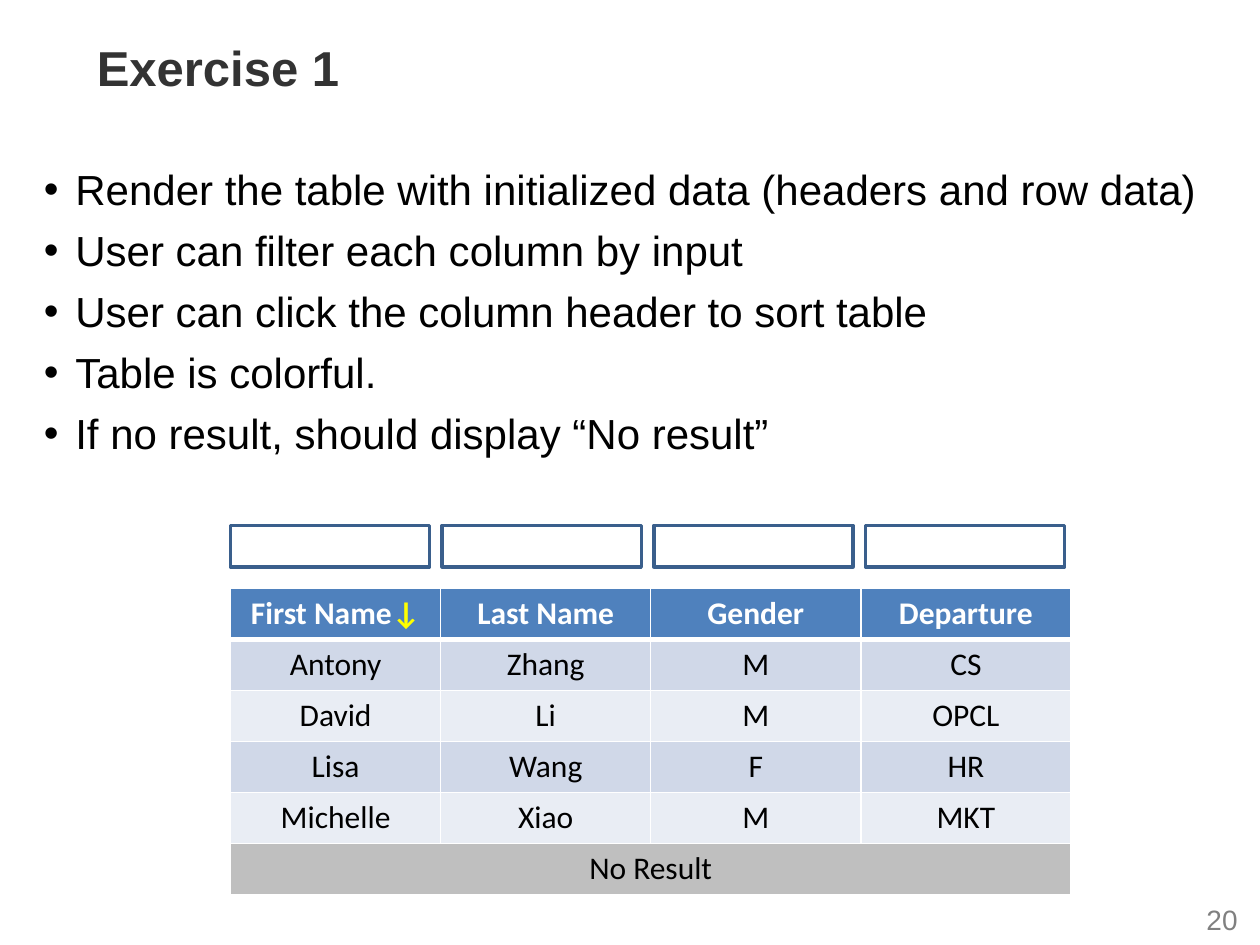
from dataclasses import dataclass

from lxml import etree
from pptx import Presentation
from pptx.dml.color import RGBColor
from pptx.enum.shapes import MSO_SHAPE
from pptx.enum.text import MSO_ANCHOR, PP_ALIGN
from pptx.oxml.ns import qn
from pptx.util import Inches, Pt

RECT = MSO_SHAPE.RECTANGLE
LEFT, MID, RIGHT = PP_ALIGN.LEFT, PP_ALIGN.CENTER, PP_ALIGN.RIGHT
TOP, CENTER = MSO_ANCHOR.TOP, MSO_ANCHOR.MIDDLE


@dataclass(frozen=True)
class Theme:
    font: str = "Arial"
    grid_font: str = "Calibri"
    title: str = "333333"
    ink: str = "000000"
    page: str = "808080"
    white: str = "FFFFFF"
    head: str = "4F81BD"
    arrow: str = "FFFF00"
    bands: tuple = ("D0D8E8", "E9EDF4")
    empty: str = "BFBFBF"
    box: str = "3A5F8C"
    title_pt: int = 28
    body_pt: int = 24
    grid_pt: int = 18
    page_pt: int = 16


THEME = Theme()

POINTS = [
    "Render the table with initialized data (headers and row data)",
    "User can filter each column by input",
    "User can click the column header to sort table",
    "Table is colorful.",
    "If no result, should display “No result”",
]
HEADS = ["First Name", "Last Name", "Gender", "Departure"]
PEOPLE = [
    ["Antony", "Zhang", "M", "CS"],
    ["David", "Li", "M", "OPCL"],
    ["Lisa", "Wang", "F", "HR"],
    ["Michelle", "Xiao", "M", "MKT"],
]


def rgb(code):
    return RGBColor.from_string(code)


def write(para, text, *, size, color=THEME.ink, font=THEME.font,
          bold=False, align=LEFT):
    """Add one formatted run to a paragraph."""
    para.alignment = align
    run = para.add_run()
    run.text = text
    run.font.name = font
    run.font.size = Pt(size)
    run.font.bold = bold
    run.font.color.rgb = rgb(color)


def add_box(slide, x, y, w, h, anchor=TOP):
    box = slide.shapes.add_textbox(Inches(x), Inches(y), Inches(w), Inches(h))
    frame = box.text_frame
    frame.word_wrap = True
    frame.vertical_anchor = anchor
    return frame


def add_label(slide, text, x, y, w, h, **style):
    frame = add_box(slide, x, y, w, h, CENTER)
    write(frame.paragraphs[0], text, **style)


def set_bullet(para, indent):
    props = para._p.get_or_add_pPr()
    props.set("marL", str(indent))
    props.set("indent", str(-indent))
    etree.SubElement(props, qn("a:buFont"), typeface=THEME.font)
    etree.SubElement(props, qn("a:buChar"), char="•")


def add_list(slide, items, x, y, w, h):
    frame = add_box(slide, x, y, w, h)
    for i, item in enumerate(items):
        para = frame.add_paragraph() if i else frame.paragraphs[0]
        para.space_before = Pt(6 if i else 2)
        set_bullet(para, Inches(0.25))
        write(para, item, size=THEME.body_pt)


def add_field(slide, x, y, w, h):
    """Draw one empty filter input."""
    box = slide.shapes.add_shape(RECT, Inches(x), Inches(y), Inches(w), Inches(h))
    box.shadow.inherit = False
    box.fill.background()
    box.line.color.rgb = rgb(THEME.box)
    box.line.width = Pt(2)


def set_edges(cell, base):
    """Give a cell thin white edges, with its own bottom width in points."""
    props = cell._tc.get_or_add_tcPr()
    for i, (tag, width) in enumerate(
            [("lnL", 1), ("lnR", 1), ("lnT", 1), ("lnB", base)]):
        line = etree.Element(qn(f"a:{tag}"), w=str(Pt(width)))
        fill = etree.SubElement(line, qn("a:solidFill"))
        etree.SubElement(fill, qn("a:srgbClr"), val=THEME.white)
        props.insert(i, line)


def fill_cell(cell, text, fill, base=1, **style):
    cell.fill.solid()
    cell.fill.fore_color.rgb = rgb(fill)
    set_edges(cell, base)
    write(cell.text_frame.paragraphs[0], text, size=THEME.grid_pt,
          font=THEME.grid_font, align=MID, **style)


def add_grid(slide, x, y, w, row_h):
    rows, cols = len(PEOPLE) + 2, len(HEADS)
    grid = slide.shapes.add_table(rows, cols, Inches(x), Inches(y),
                                  Inches(w), Inches(row_h * rows)).table
    for c, head in enumerate(HEADS):
        fill_cell(grid.cell(0, c), head, THEME.head, base=3,
                  color=THEME.white, bold=True)
    write(grid.cell(0, 0).text_frame.paragraphs[0], "↓", size=THEME.grid_pt,
          font=THEME.grid_font, color=THEME.arrow, bold=True, align=MID)
    for r, person in enumerate(PEOPLE):
        for c, text in enumerate(person):
            fill_cell(grid.cell(r + 1, c), text, THEME.bands[r % 2])
    last = grid.cell(rows - 1, 0)
    last.merge(grid.cell(rows - 1, cols - 1))
    fill_cell(last, "No Result", THEME.empty)


def main():
    deck = Presentation()
    deck.slide_width, deck.slide_height = Inches(10), Inches(7.5)
    slide = deck.slides.add_slide(deck.slide_layouts[6])
    add_label(slide, "20", 9.42, 7.1, 0.5, 0.4, size=THEME.page_pt,
              color=THEME.page, align=RIGHT)
    add_label(slide, "Exercise 1", 0.67, 0.25, 8.75, 0.57,
              size=THEME.title_pt, color=THEME.title, bold=True)
    add_grid(slide, 1.83, 4.67, 6.67, 0.405)
    for i in range(len(HEADS)):
        add_field(slide, 1.83 + 1.68 * i, 4.17, 1.58, 0.33)
    add_list(slide, POINTS, 0.25, 1.25, 9.5, 2.17)
    deck.save("out.pptx")


if __name__ == "__main__":
    main()
